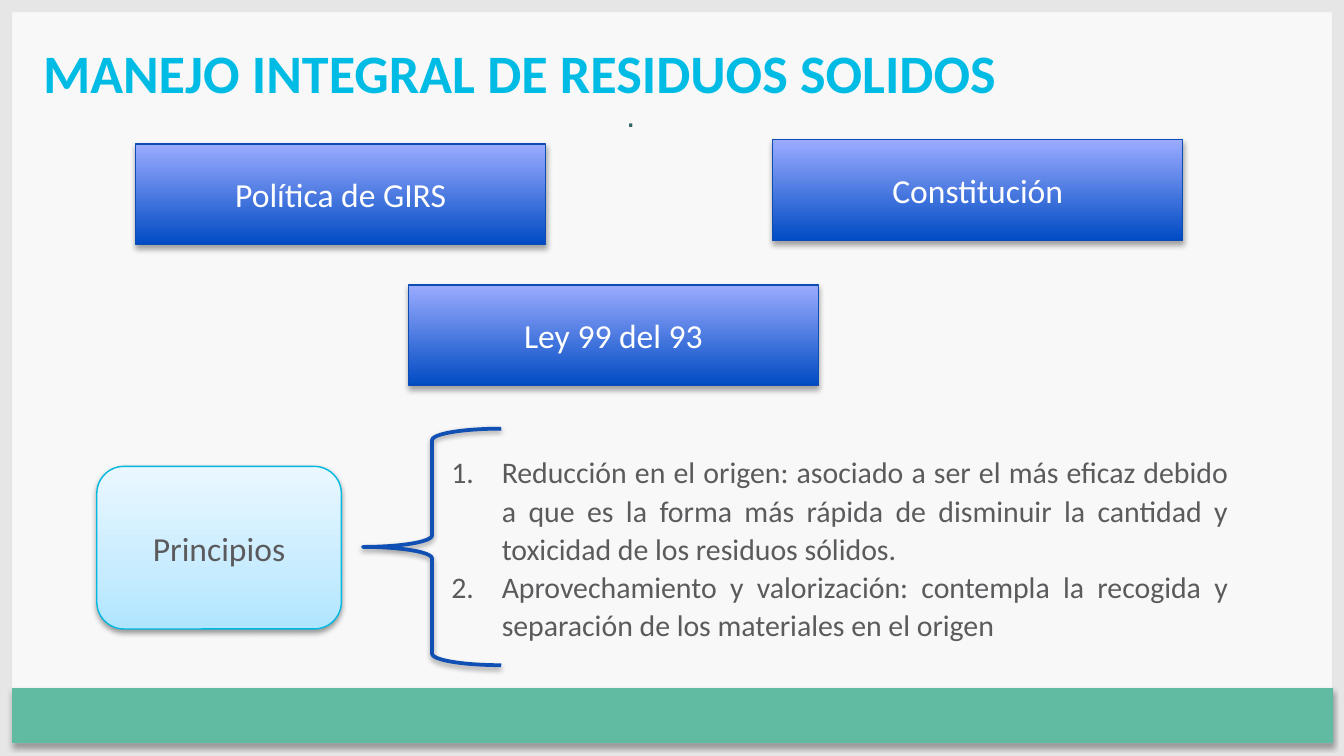
import copy
import pptx
import pptx.util
import pptx.oxml
import pptx.oxml.ns
import pptx.dml.color
import pptx.enum.shapes
import pptx.enum.text

Pt = pptx.util.Pt
Kind = pptx.enum.shapes.MSO_SHAPE
Align = pptx.enum.text.PP_ALIGN
Anchor = pptx.enum.text.MSO_ANCHOR
qn = pptx.oxml.ns.qn
rgb = pptx.dml.color.RGBColor.from_string

theme = {
    "back": "F8F8F8", "frame": "E6E6E6", "band": "61BBA2",
    "title": "00BCE5", "dot": "336666", "white": "FFFFFF", "text": "5B5B5E",
    "blue": [(0, "004BC3"), (100, "9BABFF")], "edge": "0C4CB3",
    "sky": [(0, "B0E5FF"), (35, "C7ECFF"), (100, "EAF7FF")], "rim": "00B8E0",
    "brace": "104FB3", "font": "Calibri",
    "head": 29, "label": 18, "body": 16,
}

# Slide on a grid of 100 columns by 56.25 rows
deck = pptx.Presentation()
deck.slide_width = pptx.util.Inches(10)
deck.slide_height = pptx.util.Inches(5.625)
col = deck.slide_width / 100
row = deck.slide_height / 56.25
slide = deck.slides.add_slide(deck.slide_layouts[5])
slide.background.fill.solid()
slide.background.fill.fore_color.rgb = rgb(theme["back"])


def draw(kind, spot, fill=None, line=None, width=0.75, shade=None):
    """Add a shape; fill is a colour or a list of gradient stops, bottom to top."""
    x, y, w, h = spot
    shape = slide.shapes.add_shape(
        kind, round(x * col), round(y * row), round(w * col), round(h * row))
    shape.shadow.inherit = False
    if isinstance(fill, list):
        shape.fill.gradient()
        shape.fill.gradient_angle = 90
        stops = shape._element.spPr.find(".//" + qn("a:gsLst"))
        for _ in fill[2:]:
            stops.append(copy.deepcopy(stops[0]))
        for stop, (place, tone) in zip(shape.fill.gradient_stops, fill):
            stop.position = place / 100
            stop.color.rgb = rgb(tone)
    elif fill:
        shape.fill.solid()
        shape.fill.fore_color.rgb = rgb(fill)
    else:
        shape.fill.background()
    if line:
        shape.line.color.rgb = rgb(line)
        shape.line.width = Pt(width)
    else:
        shape.line.fill.background()
    if shade:
        alpha, drop = shade
        shape._element.spPr.find(qn("a:effectLst")).append(pptx.oxml.parse_xml(
            f'<a:outerShdw {pptx.oxml.ns.nsdecls("a")} blurRad="{Pt(3.1)}" '
            f'dist="{Pt(drop)}" dir="5400000" rotWithShape="0">'
            f'<a:srgbClr val="000000"><a:alpha val="{alpha * 1000}"/></a:srgbClr>'
            '</a:outerShdw>'))
    return shape


def write(frame, lines, size, tone, align, font=theme["font"], bold=False):
    """Fill a text frame with one paragraph a line."""
    frame.word_wrap = True
    frame.text = "\n".join(lines)
    for para in frame.paragraphs:
        para.alignment = align
        for run in para.runs:
            run.font.name = font
            run.font.size = Pt(size)
            run.font.bold = bold
            run.font.color.rgb = rgb(tone)


# Frame and bottom band
edge = 0.9
for spot in [(0, 0, 100, edge), (0, 56.25 - edge, 100, edge),
             (0, 0, edge, 56.25), (100 - edge, 0, edge, 56.25)]:
    draw(Kind.RECTANGLE, spot, theme["frame"])
draw(Kind.RECTANGLE, (edge, 51.2, 98.3, 4.1), theme["band"], shade=(35, 1.8))

# Title
title = slide.shapes.title
title.left, title.top = round(2.2 * col), round(2.1 * row)
title.width, title.height = round(96.6 * col), round(8.8 * row)
title.text_frame.vertical_anchor = Anchor.TOP
title.text_frame.margin_top = round(0.8 * row)
write(title.text_frame, ["MANEJO INTEGRAL DE RESIDUOS SOLIDOS"],
      theme["head"], theme["title"], Align.LEFT, bold=True)

# Lone dot under the title
dot = slide.shapes.add_textbox(
    round(45.6 * col), round(7.7 * row), round(50 * col), round(3 * row))
write(dot.text_frame, ["."], theme["label"], theme["dot"], Align.JUSTIFY, "Arial")
dot.text_frame.paragraphs[0].line_spacing = Pt(12.8)

# Legal bases
for name, x, y in [("Política de GIRS", 10.1, 10.7), ("Ley 99 del 93", 30.4, 21.2),
                   ("Constitución", 57.5, 10.4)]:
    card = draw(Kind.RECTANGLE, (x, y, 30.5, 7.5), theme["blue"], theme["edge"],
                shade=(35, 1.8))
    write(card.text_frame, [name], theme["label"], theme["white"], Align.CENTER)

# Principles and brace
card = draw(Kind.ROUNDED_RECTANGLE, (7.2, 34.7, 18.2, 12.1), theme["sky"],
            theme["rim"], shade=(38, 1.6))
write(card.text_frame, ["Principios"], theme["label"], theme["text"], Align.CENTER)
draw(Kind.LEFT_BRACE, (27, 31.9, 10.3, 17.6), line=theme["brace"], width=2,
     shade=(38, 1.6))

# Numbered list
items = slide.shapes.add_textbox(
    round(32.6 * col), round(33.1 * row), round(59.8 * col), round(15.3 * row))
write(items.text_frame, [
    "Reducción en el origen: asociado a ser el más eficaz debido a que es la forma "
    "más rápida de disminuir la cantidad y toxicidad de los residuos sólidos.",
    "Aprovechamiento y valorización: contempla la recogida y separación de los "
    "materiales en el origen",
], theme["body"], theme["text"], Align.JUSTIFY)
for para in items.text_frame.paragraphs:
    para.line_spacing = 1.07
    props = para._p.get_or_add_pPr()
    props.set("marL", str(round(3.75 * col)))
    props.set("indent", str(round(-3.75 * col)))
    props.append(pptx.oxml.parse_xml(
        f'<a:buAutoNum {pptx.oxml.ns.nsdecls("a")} type="arabicPeriod"/>'))

deck.save("out.pptx")
